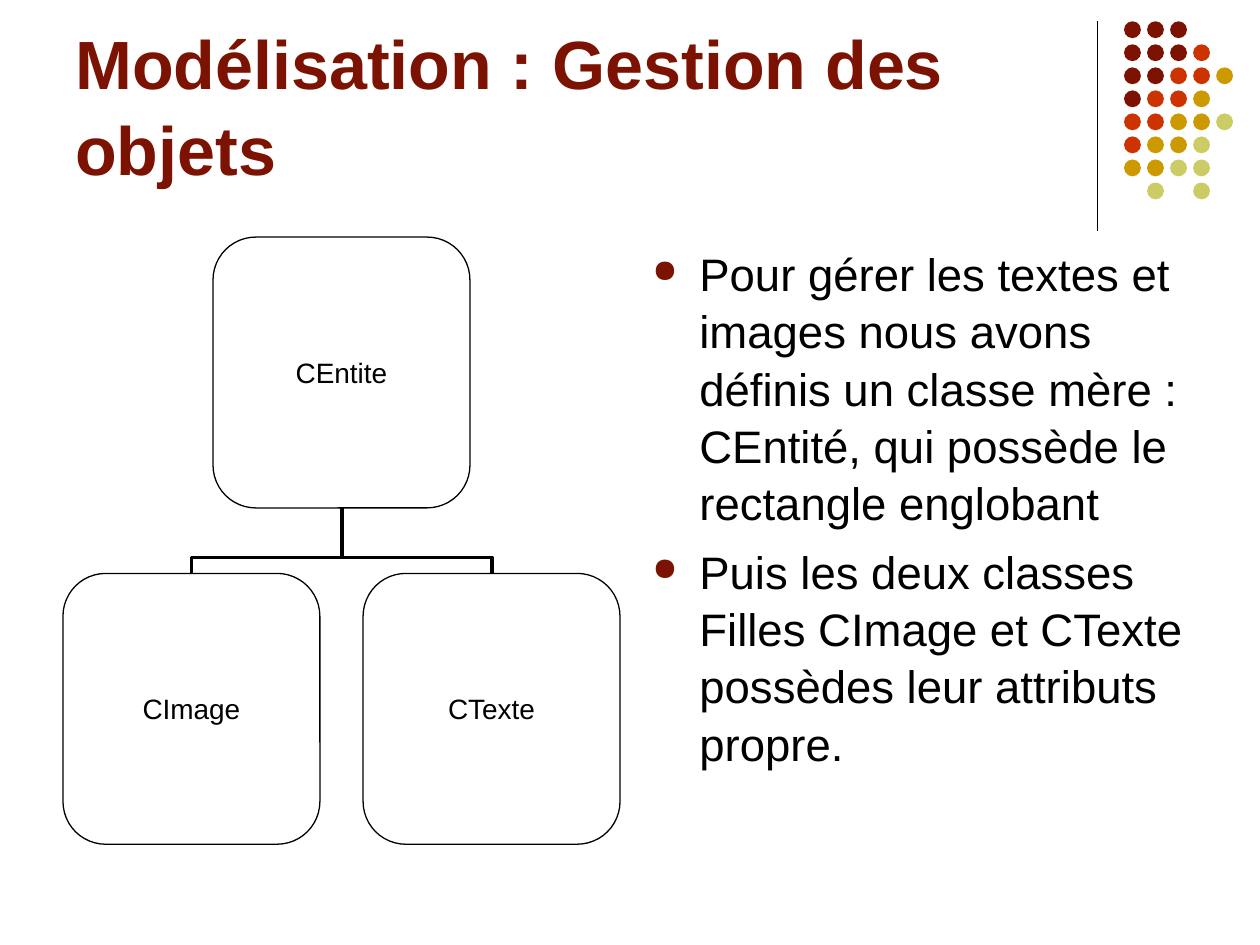
import dataclasses

import pptx
import pptx.dml.color
import pptx.enum.shapes
import pptx.enum.text
import pptx.oxml.ns
import pptx.util
from lxml import etree
from pptx.util import Cm, Pt


def rgb(value):
    return pptx.dml.color.RGBColor.from_string(value)


@dataclasses.dataclass(frozen=True)
class Theme:
    font: str = "Arial"
    text: str = "000000"
    background: str = "FFFFFF"
    accent: str = "7C1302"
    red: str = "CC3300"
    gold: str = "CC9900"
    lime: str = "CCCC66"
    title_size: int = 39
    body_size: int = 26
    node_size: int = 16
    line_spacing: float = 1.05
    thin: float = 0.75
    thick: float = 2.25


@dataclasses.dataclass(frozen=True)
class Box:
    left: float
    top: float
    width: float
    height: float

    def lengths(self):
        return Cm(self.left), Cm(self.top), Cm(self.width), Cm(self.height)


THEME = Theme()

# One letter per dot: accent, red, gold, lime
DOT_ROWS = ["AAA", "AAAR", "AARRG", "ARRG", "RRGGL", "RGGL", "GGLL", " L L"]
DOT_COLOURS = {"A": THEME.accent, "R": THEME.red, "G": THEME.gold, "L": THEME.lime}

BULLETS = [
    "Pour gérer les textes et images nous avons définis un classe mère : "
    "CEntité, qui possède le rectangle englobant",
    "Puis les deux classes Filles CImage et CTexte possèdes leur attributs propre.",
]


def add_child(parent, tag, **attributes):
    return etree.SubElement(parent, pptx.oxml.ns.qn(tag), attributes)


def add_run(paragraph, text, size, colour, bold=False):
    run = paragraph.add_run()
    run.text = text
    run.font.name = THEME.font
    run.font.size = Pt(size)
    run.font.bold = bold
    run.font.color.rgb = rgb(colour)


def add_line(slide, kind, begin, end, weight):
    line = slide.shapes.add_connector(
        kind, Cm(begin[0]), Cm(begin[1]), Cm(end[0]), Cm(end[1]))
    line.line.color.rgb = rgb(THEME.text)
    line.line.width = Pt(weight)
    add_child(line._element.spPr, "a:effectLst")
    return line


def add_filled_shape(slide, kind, box, fill):
    shape = slide.shapes.add_shape(kind, *box.lengths())
    shape.shadow.inherit = False
    shape.fill.solid()
    shape.fill.fore_color.rgb = rgb(fill)
    return shape


def add_ornament(slide, box):
    # Vertical rule, then the grid of dots to its right
    straight = pptx.enum.shapes.MSO_CONNECTOR.STRAIGHT
    add_line(slide, straight, (box.left, box.top),
             (box.left, box.top + box.height), THEME.thin)
    dot, gap, grid_height = 0.34, 0.54, 3.59
    pitch = (grid_height - dot) / (len(DOT_ROWS) - 1)
    for row, letters in enumerate(DOT_ROWS):
        for column, letter in enumerate(letters):
            if letter in DOT_COLOURS:
                place = Box(box.left + gap + column * pitch,
                            box.top + row * pitch, dot, dot)
                shape = add_filled_shape(slide, pptx.enum.shapes.MSO_SHAPE.OVAL,
                                         place, DOT_COLOURS[letter])
                shape.line.fill.background()


def add_title(slide, box, text):
    frame = slide.shapes.add_textbox(*box.lengths()).text_frame
    frame.word_wrap = True
    frame.vertical_anchor = pptx.enum.text.MSO_ANCHOR.BOTTOM
    paragraph = frame.paragraphs[0]
    paragraph.line_spacing = THEME.line_spacing
    add_run(paragraph, text, THEME.title_size, THEME.accent, bold=True)


def add_node(slide, box, text):
    shape = add_filled_shape(slide, pptx.enum.shapes.MSO_SHAPE.ROUNDED_RECTANGLE,
                             box, THEME.background)
    shape.line.color.rgb = rgb(THEME.text)
    shape.line.width = Pt(THEME.thin)
    frame = shape.text_frame
    frame.word_wrap = False
    frame.margin_left = frame.margin_right = frame.margin_top = frame.margin_bottom = 0
    frame.vertical_anchor = pptx.enum.text.MSO_ANCHOR.MIDDLE
    paragraph = frame.paragraphs[0]
    paragraph.alignment = pptx.enum.text.PP_ALIGN.CENTER
    add_run(paragraph, text, THEME.node_size, THEME.text)


def add_branch(slide, child, parent):
    # An elbow that leaves vertically is a horizontal one turned a quarter
    start_x = child.left + child.width / 2
    end_x = parent.left + parent.width / 2
    parent_bottom = parent.top + parent.height
    middle_x = (start_x + end_x) / 2
    middle_y = (child.top + parent_bottom) / 2
    side = 1 if start_x > end_x else -1
    reach = side * (child.top - parent_bottom) / 2
    half_span = abs(start_x - end_x) / 2
    branch = add_line(slide, pptx.enum.shapes.MSO_CONNECTOR.ELBOW,
                      (middle_x - reach, middle_y + half_span),
                      (middle_x + reach, middle_y - half_span), THEME.thick)
    properties = branch._element.spPr
    degrees = 270 if side > 0 else 90
    properties.find(pptx.oxml.ns.qn("a:xfrm")).set("rot", str(degrees * 60000))
    adjustments = properties.find(".//" + pptx.oxml.ns.qn("a:avLst"))
    add_child(adjustments, "a:gd", name="adj1", fmla="val 24200")


def add_class_tree(slide, box, parent_name, child_names):
    width, height = 5.18, 5.46
    step = (box.width - width) / (len(child_names) - 1)
    child_top = box.top + box.height - height
    parent = Box(box.left + (box.width - width) / 2, box.top, width, height)
    children = [Box(box.left + index * step, child_top, width, height)
                for index in range(len(child_names))]
    for child in reversed(children):
        add_branch(slide, child, parent)
    for place, name in zip([parent, *children], [parent_name, *child_names]):
        add_node(slide, place, name)


def add_bullets(slide, box, texts):
    frame = slide.shapes.add_textbox(*box.lengths()).text_frame
    frame.word_wrap = True
    for index, text in enumerate(texts):
        paragraph = frame.add_paragraph() if index else frame.paragraphs[0]
        paragraph.line_spacing = THEME.line_spacing
        paragraph.space_before = Pt(6.5)
        properties = paragraph._p.get_or_add_pPr()
        properties.set("marL", str(Cm(0.95)))
        properties.set("indent", str(-Cm(0.95)))
        colour = add_child(properties, "a:buClr")
        add_child(colour, "a:srgbClr", val=THEME.accent)
        add_child(properties, "a:buSzPct", val="70000")
        add_child(properties, "a:buChar", char="●")
        add_run(paragraph, text, THEME.body_size, THEME.text)


def main():
    presentation = pptx.Presentation()
    presentation.slide_width = Cm(25.4)
    presentation.slide_height = Cm(19.05)
    slide = presentation.slides.add_slide(presentation.slide_layouts[6])
    add_ornament(slide, Box(22.12, 0.43, 2.73, 4.22))
    add_title(slide, Box(1.27, 0.33, 20.96, 3.61), "Modélisation : Gestion des objets")
    add_class_tree(slide, Box(1.27, 4.78, 11.23, 12.24), "CEntite", ["CImage", "CTexte"])
    add_bullets(slide, Box(12.9, 4.78, 11.23, 12.24), BULLETS)
    presentation.save("out.pptx")


if __name__ == "__main__":
    main()
